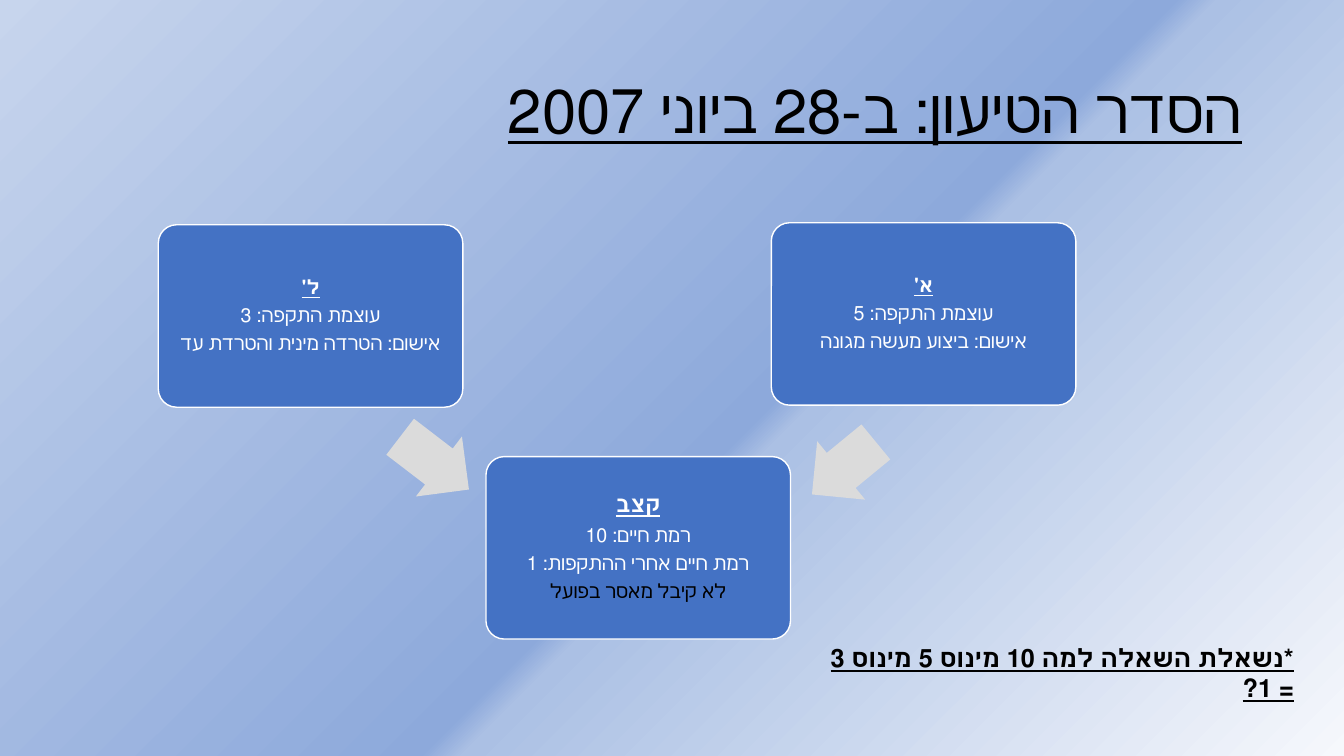
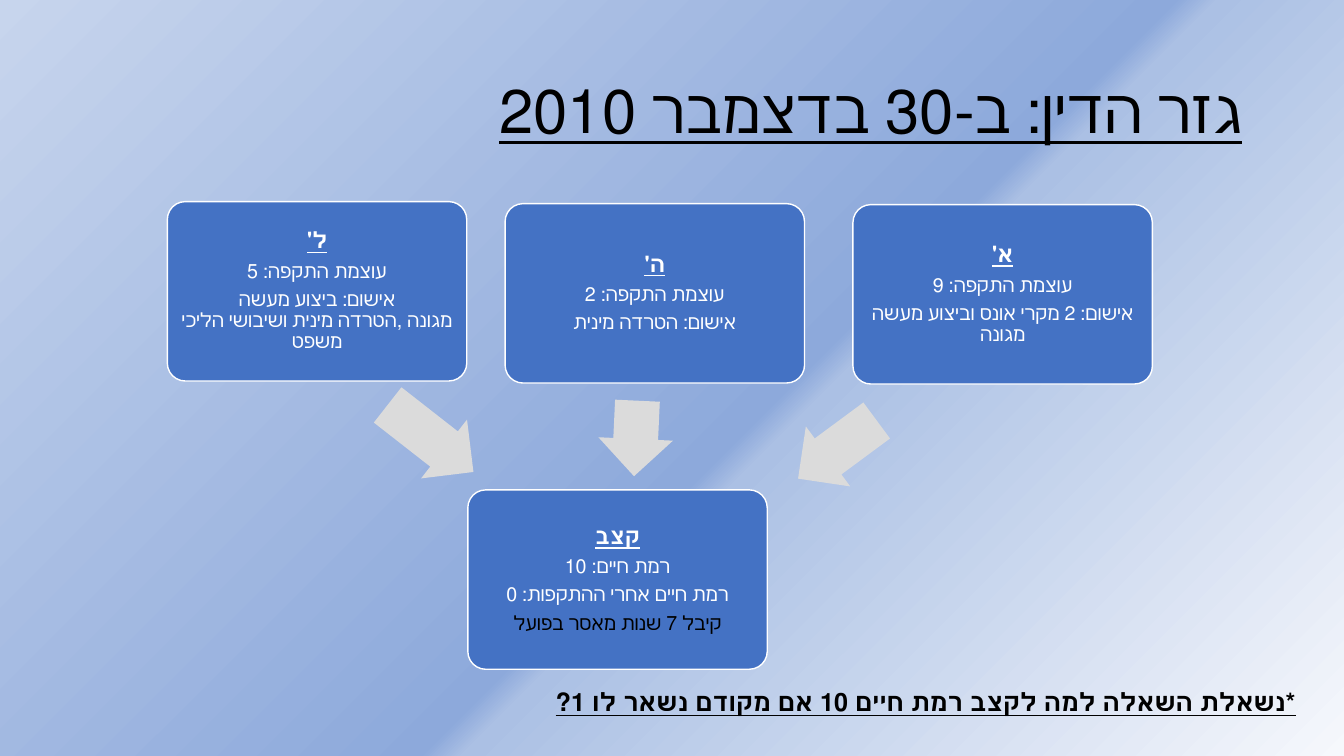
from lxml import etree
from pptx import Presentation
from pptx.dml.color import RGBColor
from pptx.enum.lang import MSO_LANGUAGE_ID
from pptx.enum.shapes import MSO_SHAPE
from pptx.enum.text import MSO_ANCHOR, MSO_AUTO_SIZE, PP_ALIGN
from pptx.oxml.ns import qn
from pptx.util import Inches, Pt

CARD = MSO_SHAPE.ROUNDED_RECTANGLE
ARROW = MSO_SHAPE.RIGHT_ARROW
MIDDLE = MSO_ANCHOR.MIDDLE
GROW = MSO_AUTO_SIZE.SHAPE_TO_FIT_TEXT
CENTER, RIGHT = PP_ALIGN.CENTER, PP_ALIGN.RIGHT
HEBREW = MSO_LANGUAGE_ID.HEBREW

BLUE, GREY, WHITE, BLACK = "4472C4", "DBDBDB", "FFFFFF", "000000"
GRADIENT = [(0, "F6F8FC"), (42, "ABC0E4"), (44, "8DA9DB"), (100, "C7D5ED")]
FONT = {"name": "Calibri", "language_id": HEBREW}
TITLE = {**FONT, "size": Pt(44), "bold": False, "underline": True}
NOTE = {**FONT, "size": Pt(18), "bold": True, "underline": True}
HEADING = {**FONT, "bold": True, "underline": True}
DETAIL = {**FONT, "size": Pt(14), "bold": False, "underline": False}

SLIDES = [
    {
        "title": "הסדר הטיעון: ב-28 ביוני 2007",
        "card_size": (3.02, 1.81),
        "cards": [
            ((1.57, 2.23), 14, ["ל'", "עוצמת התקפה: 3", "אישום: הטרדה מינית והטרדת עד"], None),
            ((7.65, 2.21), 14, ["א'", "עוצמת התקפה: 5", "אישום: ביצוע מעשה מגונה"], None),
            ((4.82, 4.53), 16, ["קצב", "רמת חיים: 10", "רמת חיים אחרי ההתקפות: 1"],
             "לא קיבל מאסר בפועל"),
        ],
        "arrows": [((3.88, 4.22, 0.86, 0.75), 37.5), ((7.96, 4.27, 0.82, 0.75), 140.6)],
        "note": ((7.98, 6.32, 4.95, 0.7), "*נשאלת השאלה למה 10 מינוס 5 מינוס 3 = 1?"),
    },
    {
        "title": "גזר הדין: ב-30 בדצמבר 2010",
        "card_size": (2.97, 1.78),
        "cards": [
            ((1.66, 2), 16, ["ל'", "עוצמת התקפה: 5",
                             "אישום: ביצוע מעשה מגונה ,הטרדה מינית ושיבושי הליכי משפט"], None),
            ((5.01, 2.02), 16, ["ה'", "עוצמת התקפה: 2", "אישום: הטרדה מינית"], None),
            ((8.46, 2.03), 16, ["א'", "עוצמת התקפה: 9",
                                "אישום: 2 מקרי אונס וביצוע מעשה מגונה"], None),
            ((4.64, 4.86), 16, ["קצב", "רמת חיים: 10", "רמת חיים אחרי ההתקפות: 0"],
             "קיבל 7 שנות מאסר בפועל"),
        ],
        "arrows": [((3.73, 3.98, 1.08, 0.74), 38), ((5.93, 3.98, 0.75, 0.74), 92.6),
                   ((7.82, 4.09, 0.97, 0.74), 143.5)],
        "note": ((5.38, 6.76, 7.57, 0.4),
                 "*נשאלת השאלה למה לקצב רמת חיים 10 אם מקודם נשאר לו 1?"),
    },
]


def rgb(color):
    return RGBColor.from_string(color)


def inches(box):
    return [Inches(v) for v in box]


def apply(obj, values):
    for name, value in values.items():
        setattr(obj, name, value)


def write(p, text, align, font, color):
    p.alignment = align
    p._p.get_or_add_pPr().set("rtl", "1")
    r = p.add_run()
    r.text = text
    apply(r.font, font)
    r.font.color.rgb = rgb(color)


def paint_background(master):
    master.background.fill.gradient()
    grad = master.element.find(".//" + qn("a:gradFill"))
    for child in list(grad):
        grad.remove(child)
    stops = etree.SubElement(grad, qn("a:gsLst"))
    for position, color in GRADIENT:
        stop = etree.SubElement(stops, qn("a:gs"), pos=str(position * 1000))
        etree.SubElement(stop, qn("a:srgbClr"), val=color)
    circle = etree.SubElement(grad, qn("a:path"), path="circle")
    etree.SubElement(circle, qn("a:fillToRect"), l="100000", t="100000")


def add_title(s, box, text):
    sp = s.shapes.title
    apply(sp, dict(zip(("left", "top", "width", "height"), inches(box))))
    tf = sp.text_frame
    tf.vertical_anchor = MIDDLE
    p = tf.paragraphs[0]
    p.line_spacing = 0.9
    write(p, text, RIGHT, TITLE, BLACK)


def add_solid(s, kind, box, color):
    sp = s.shapes.add_shape(kind, *inches(box))
    sp.shadow.inherit = False
    sp.fill.solid()
    sp.fill.fore_color.rgb = rgb(color)
    return sp


def add_card(s, box, heading_size, lines, verdict):
    sp = add_solid(s, CARD, box, BLUE)
    sp.adjustments[0] = 0.1
    sp.line.color.rgb = rgb(WHITE)
    sp.line.width = Pt(1)
    tf = sp.text_frame
    apply(tf, {"word_wrap": True, "vertical_anchor": MIDDLE})
    apply(tf, {"margin_" + side: Inches(0.07) for side in ("left", "top", "right", "bottom")})
    rows = [(text, DETAIL, WHITE) for text in lines]
    rows[0] = (lines[0], {**HEADING, "size": Pt(heading_size)}, WHITE)
    if verdict:
        rows.append((verdict, DETAIL, BLACK))
    for i, (text, font, color) in enumerate(rows):
        p = tf.add_paragraph() if i else tf.paragraphs[0]
        apply(p, {"line_spacing": 0.9, "space_after": Pt(font["size"].pt * 0.35)})
        write(p, text, CENTER, font, color)


def add_arrow(s, box, angle):
    sp = add_solid(s, ARROW, box, GREY)
    sp.line.fill.background()
    sp.adjustments[0] = 0.6
    sp.adjustments[1] = 0.5
    sp.rotation = angle


def add_note(s, box, text):
    tf = s.shapes.add_textbox(*inches(box)).text_frame
    apply(tf, {"word_wrap": True, "auto_size": GROW})
    write(tf.paragraphs[0], text, RIGHT, NOTE, BLACK)


def add_battle_slide(prs, content):
    s = prs.slides.add_slide(prs.slide_layouts[5])
    add_title(s, (0.92, 0.4, 11.5, 1.45), content["title"])
    for corner, heading_size, lines, verdict in content["cards"]:
        add_card(s, corner + content["card_size"], heading_size, lines, verdict)
    for box, angle in content["arrows"]:
        add_arrow(s, box, angle)
    add_note(s, *content["note"])


def main():
    prs = Presentation()
    prs.slide_width, prs.slide_height = Inches(13.33), Inches(7.5)
    paint_background(prs.slide_master)
    for content in SLIDES:
        add_battle_slide(prs, content)
    prs.save("out.pptx")


if __name__ == "__main__":
    main()
